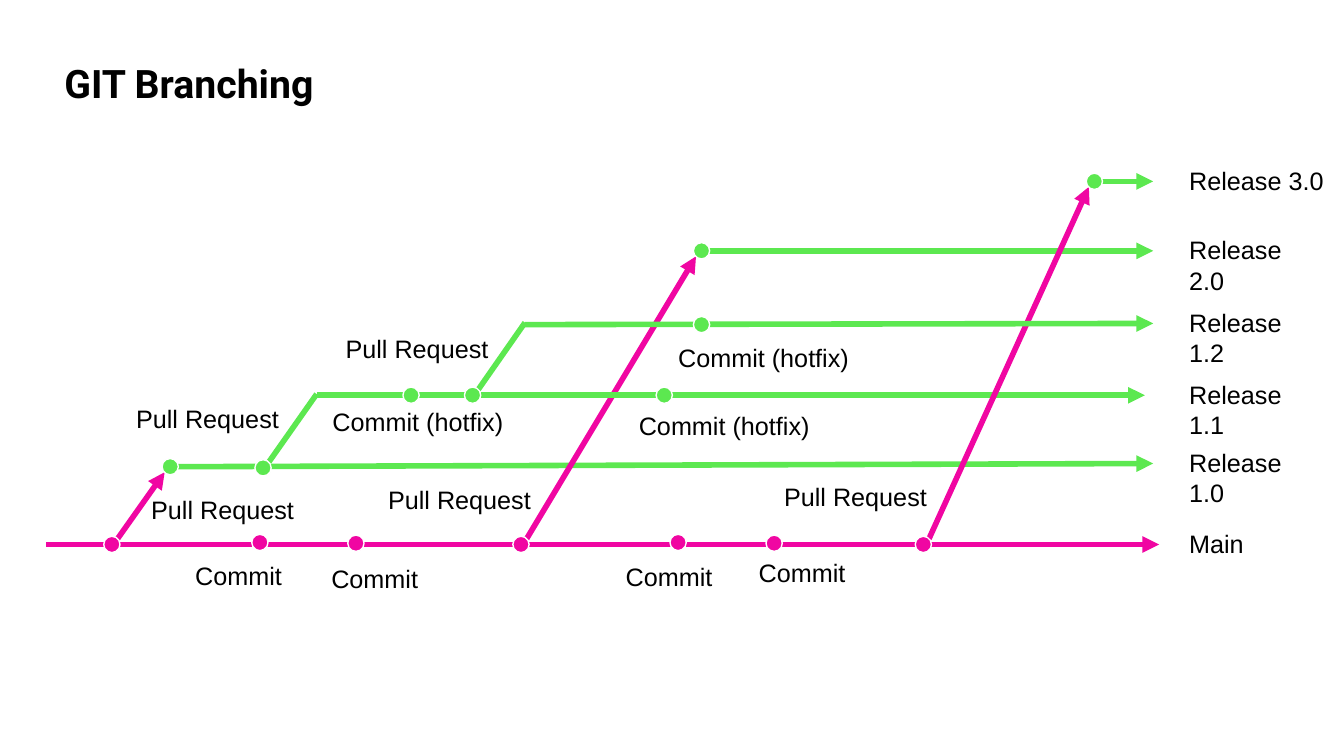
from pptx import Presentation, util as u
from pptx.dml.color import RGBColor
from pptx.enum import shapes, text
from pptx.oxml.ns import qn
from lxml import etree

HUE = {"main": "F006A2", "rel": "5CE850", "ink": "000000", "edge": "FFFFFF"}
DOT = 0.41
RIM = 0.2      # gap from a dot's centre to a line leaving it sideways
SLANT = 0.14   # the same gap, across and up, for a slanted line
TIP = 27.89    # where release lines end

# Lanes: height, height at the arrow tip
LANES = {
    "Release 3.0": (0.53, 0.53),
    "Release 2.0": (2.28, 2.28),
    "Release 1.2": (4.14, 4.11),
    "Release 1.1": (5.92, 5.92),
    "Release 1.0": (7.72, 7.64),
    "Main": (9.68, 9.68),
}

# Dots: centres along and down the diagram
MAIN = [(1.65, 9.68), (5.38, 9.63), (7.8, 9.65), (11.96, 9.68),
        (15.92, 9.63), (18.34, 9.65), (22.1, 9.68)]
FIRST = [(3.12, 7.72), (5.46, 7.75)]
FIX = [(9.19, 5.92), (10.74, 5.92), (15.57, 5.92)]
PATCH = (16.51, 4.14)
SECOND = (16.51, 2.28)
THIRD = (26.41, 0.53)

NOTES = {
    "Pull Request": [(2.39, 8.3), (2.01, 5.99), (8.36, 8.03),
                     (7.29, 4.24), (18.34, 7.97)],
    "Commit": [(3.5, 9.96), (6.93, 10.03), (14.35, 9.98), (17.7, 9.88)],
    "Commit (hotfix)": [(6.96, 6.07), (14.68, 6.17), (15.67, 4.47)],
}
WIDTHS = {"Pull Request": 4.19, "Commit": 2.9, "Commit (hotfix)": 5.1,
          "Main": 2.0, "Release 3.0": 4.0}


def color(name):
    return RGBColor.from_string(HUE[name])


def write(frame, words, face, size, bold=False):
    para = frame.paragraphs[0]
    para.alignment = text.PP_ALIGN.LEFT
    para.space_after = u.Pt(6)
    run = para.add_run()
    run.text = words
    run.font.name, run.font.size, run.font.bold = face, u.Pt(size), bold
    run.font.color.rgb = color("ink")


def line(slide, box, start, end, hue, arrow=True):
    left, top = box
    link = slide.shapes.add_connector(
        shapes.MSO_CONNECTOR.STRAIGHT,
        u.Cm(left + start[0]), u.Cm(top + start[1]),
        u.Cm(left + end[0]), u.Cm(top + end[1]))
    link.line.color.rgb = color(hue)
    link.line.width = u.Pt(4)
    if arrow:
        etree.SubElement(link.line._get_or_add_ln(), qn("a:tailEnd"), type="triangle")
    etree.SubElement(link._element.spPr, qn("a:effectLst"))


def dot(slide, box, spot, hue):
    left, top = (edge + mid - DOT / 2 for edge, mid in zip(box, spot))
    ball = slide.shapes.add_shape(shapes.MSO_SHAPE.OVAL, u.Cm(left), u.Cm(top),
                                  u.Cm(DOT), u.Cm(DOT))
    ball.shadow.inherit = False
    ball.fill.solid()
    ball.fill.fore_color.rgb = color(hue)
    ball.line.color.rgb = color("edge")
    ball.line.width = u.Pt(1)


def label(slide, box, spot, words):
    note = slide.shapes.add_textbox(
        u.Cm(box[0] + spot[0]), u.Cm(box[1] + spot[1]),
        u.Cm(WIDTHS.get(words, 3.55)), u.Cm(1.02))
    note.text_frame.word_wrap = True
    write(note.text_frame, words, "Arial", 18)


def leave(spot):
    """Point where a slanted line leaves a dot, up and to the right."""
    return spot[0] + SLANT, spot[1] - SLANT


def fork(slide, box, start, end):
    line(slide, box, leave(start), (end[0] - SLANT, end[1] + SLANT), "main")


def lane(slide, box, name, start, tip=TIP, hue="rel"):
    high, last = LANES[name]
    line(slide, box, (start, high), (tip, last), hue)


def heading(slide, box):
    title = slide.shapes.title
    title.left, title.top, title.width, title.height = map(u.Cm, box)
    frame = title.text_frame
    frame.word_wrap = True
    frame.vertical_anchor = text.MSO_ANCHOR.MIDDLE
    write(frame, "GIT Branching", "Roboto", 28, True)


def lines(slide, box):
    # Main, releases and the pull requests that open them, back to front
    lane(slide, box, "Main", 0, 28.04, "main")
    lane(slide, box, "Release 1.0", FIRST[0][0] + RIM)
    fork(slide, box, MAIN[0], FIRST[0])
    fork(slide, box, MAIN[3], SECOND)
    lane(slide, box, "Release 2.0", SECOND[0] + RIM)
    lane(slide, box, "Release 1.1", FIX[-1][0] + RIM, 27.68)
    fork(slide, box, MAIN[6], THIRD)
    lane(slide, box, "Release 3.0", THIRD[0] + RIM)
    lane(slide, box, "Release 1.2", 12.06)

    # Release 1.1 runs from dot to dot
    high = LANES["Release 1.1"][0]
    start = 6.83
    for mid, _ in FIX:
        line(slide, box, (start, high), (mid - RIM, high), "rel", False)
        start = mid + RIM

    # Hotfix branches
    for root, end in ((FIRST[1], (6.81, 5.89)), (FIX[1], (12.06, 4.09))):
        line(slide, box, leave(root), end, "rel", False)


def diagram(slide, box):
    lines(slide, box)
    for spot in MAIN:
        dot(slide, box, spot, "main")
    for spot in FIRST + FIX + [PATCH, SECOND, THIRD]:
        dot(slide, box, spot, "rel")

    # Lane names, then event names
    for name, (_, last) in LANES.items():
        label(slide, box, (28.55, last - 0.53), name)
    for words, spots in NOTES.items():
        for spot in spots:
            label(slide, box, spot, words)


def main():
    deck = Presentation()
    deck.slide_width, deck.slide_height = u.Cm(33.87), u.Cm(19.05)
    slide = deck.slides.add_slide(deck.slide_layouts[5])
    heading(slide, (1.37, 1.37, 26.9, 1.42))
    diagram(slide, (1.17, 4.04))
    deck.save("out.pptx")


if __name__ == "__main__":
    main()
